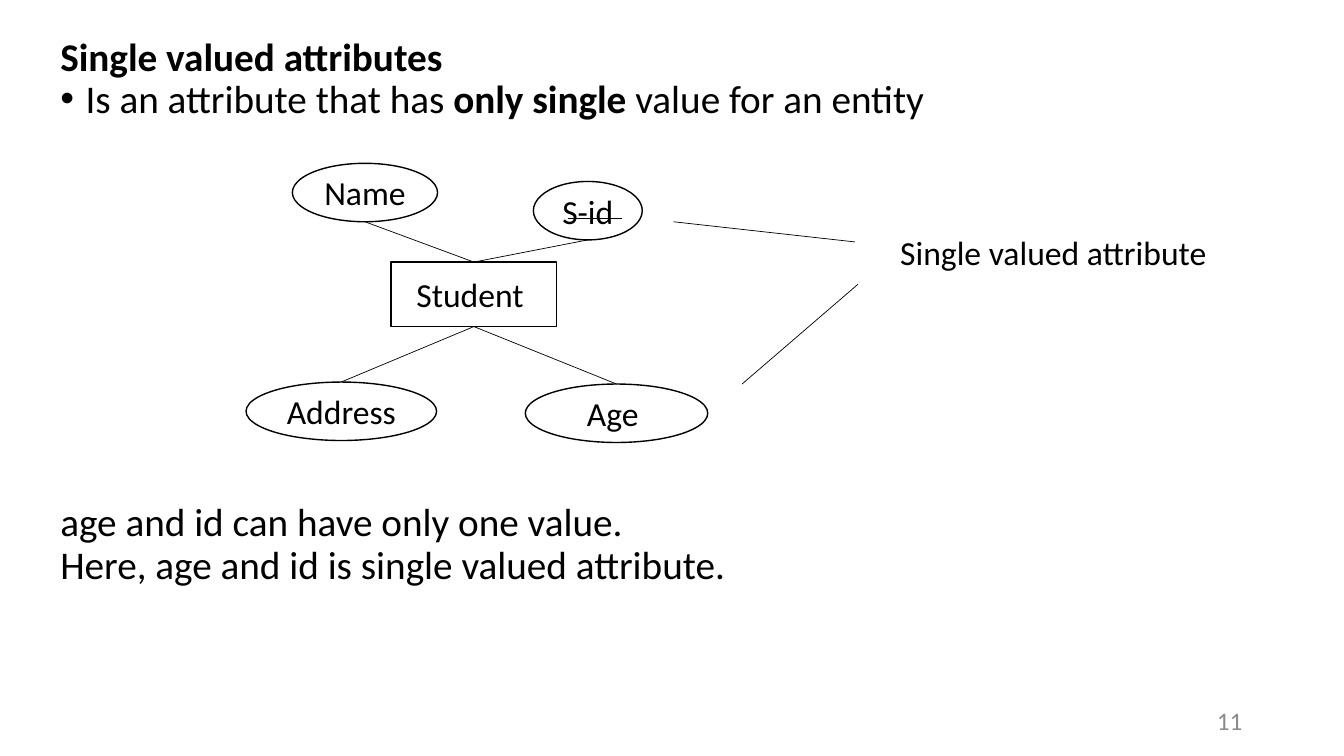
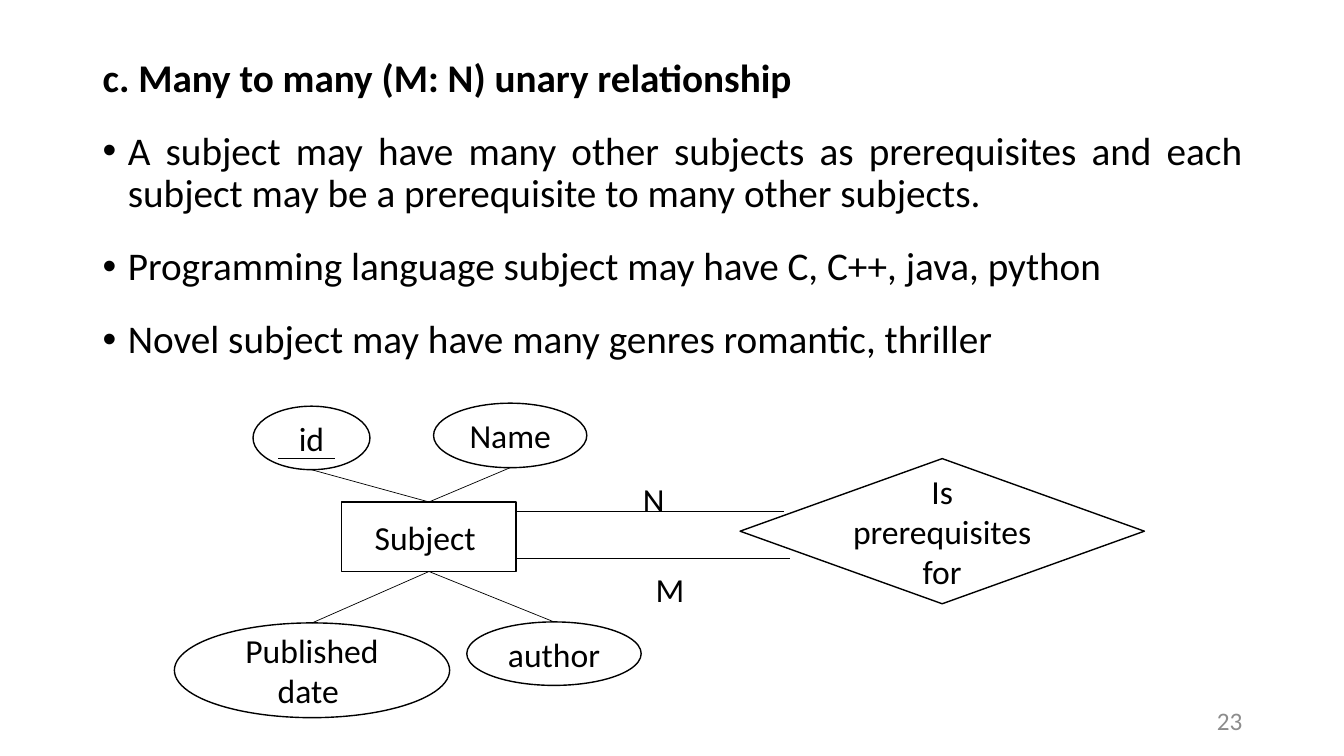
from dataclasses import dataclass

from lxml import etree
from pptx import Presentation
from pptx import util as u
from pptx.dml import color
from pptx.enum import shapes, text
from pptx.oxml import ns

PX = 9144  # EMU in one px, 100 px to the inch


@dataclass(frozen=True)
class Theme:
    font: str = "Calibri"
    ink: str = "000000"
    paper: str = "FFFFFF"
    muted: str = "8C8C8C"
    body_size: int = 28
    label_size: int = 24
    number_size: int = 18
    outline: float = 1
    hairline: float = 0.5
    line_spacing: float = 0.9
    bullet_indent: int = 25


@dataclass(frozen=True)
class Box:
    x: int
    y: int
    w: int
    h: int

    def inside(self, x, y, w, h):
        return Box(self.x + x, self.y + y, w, h)

    def emu(self):
        return [u.Emu(side * PX) for side in (self.x, self.y, self.w, self.h)]


THEME = Theme()
ALIGN = text.PP_ALIGN
ELLIPSE = shapes.MSO_SHAPE.OVAL
RECTANGLE = shapes.MSO_SHAPE.RECTANGLE
DECISION = shapes.MSO_SHAPE.FLOWCHART_DECISION
NUMBER_BOX = Box(942, 695, 300, 40)


def rgb(value):
    return color.RGBColor.from_string(value)


# Text
def add_span(para, words, size, ink=THEME.ink, bold=False):
    span = para.add_run()
    span.text = words
    font = span.font
    font.name, font.size, font.bold = THEME.font, u.Pt(size), bold
    font.color.rgb = rgb(ink)


def add_bullet(para):
    indent = THEME.bullet_indent * PX
    props = para._p.get_or_add_pPr()
    props.set("marL", str(indent))
    props.set("indent", str(-indent))
    etree.SubElement(props, ns.qn("a:buFont")).set("typeface", "Arial")
    etree.SubElement(props, ns.qn("a:buChar")).set("char", "•")


def add_label(page, box, words, size=THEME.label_size, ink=THEME.ink,
              align=ALIGN.LEFT, anchor=text.MSO_ANCHOR.TOP):
    frame = page.shapes.add_textbox(*box.emu()).text_frame
    frame.word_wrap = True
    frame.vertical_anchor = anchor
    para = frame.paragraphs[0]
    para.alignment = align
    add_span(para, words, size, ink)


def add_body(page, box, lines, align=ALIGN.LEFT, before=0, after=0):
    """Each line is (bulleted, [(words, bold), ...])."""
    frame = page.shapes.add_textbox(*box.emu()).text_frame
    frame.word_wrap = True
    for index, (bulleted, spans) in enumerate(lines):
        para = frame.add_paragraph() if index else frame.paragraphs[0]
        para.alignment = align
        para.line_spacing = THEME.line_spacing
        para.space_before = u.Pt(before if index else 0)
        para.space_after = u.Pt(after)
        if bulleted:
            add_bullet(para)
        for words, bold in spans:
            add_span(para, words, THEME.body_size, bold=bold)


# Diagram parts
def add_node(page, box, kind, words):
    node = page.shapes.add_shape(kind, *box.emu())
    node.shadow.inherit = False
    node.fill.solid()
    node.fill.fore_color.rgb = rgb(THEME.paper)
    node.line.color.rgb = rgb(THEME.ink)
    node.line.width = u.Pt(THEME.outline)
    frame = node.text_frame
    frame.word_wrap = True
    frame.vertical_anchor = text.MSO_ANCHOR.MIDDLE
    para = frame.paragraphs[0]
    para.alignment = ALIGN.CENTER
    add_span(para, words, THEME.label_size)
    return node


def add_line(page, x1, y1, x2, y2):
    """Draw a hairline between two points in EMU."""
    line = page.shapes.add_connector(
        shapes.MSO_CONNECTOR.STRAIGHT, *(u.Emu(n) for n in (x1, y1, x2, y2)))
    line.line.color.rgb = rgb(THEME.ink)
    line.line.width = u.Pt(THEME.hairline)
    etree.SubElement(line._element.spPr, ns.qn("a:effectLst"))
    return line


def join_attribute(page, attribute, entity):
    """Run a line from an attribute to the nearer side of its entity."""
    above = attribute.top < entity.top
    x = attribute.left + attribute.width // 2
    y = attribute.top + (attribute.height if above else 0)
    add_line(page, x, y, x, y).end_connect(entity, 0 if above else 2)


def add_diagram(page, box, entity, attributes, lines, labels, relation=None):
    """Draw an entity with its attributes; places are relative to box."""
    if relation:
        add_node(page, box.inside(*relation[1]), DECISION, relation[0])
    center = add_node(page, box.inside(*entity[1]), RECTANGLE, entity[0])
    for words, place in attributes:
        oval = add_node(page, box.inside(*place), ELLIPSE, words)
        join_attribute(page, oval, center)
    for x1, y1, x2, y2 in lines:
        add_line(page, (box.x + x1) * PX, (box.y + y1) * PX,
                 (box.x + x2) * PX, (box.y + y2) * PX)
    for words, place, align in labels:
        add_label(page, box.inside(*place), words, align=align)


# Slides
def add_page(deck, number):
    page = deck.slides.add_slide(deck.slide_layouts[6])
    add_label(page, NUMBER_BOX, str(number), THEME.number_size, THEME.muted,
              ALIGN.RIGHT, text.MSO_ANCHOR.MIDDLE)
    return page


def single_valued_page(deck):
    page = add_page(deck, 11)
    add_body(page, Box(50, 32, 1230, 100), [
        (False, [("Single valued attributes", True)]),
        (True, [("Is an attribute that has ", False), ("only single", True),
                (" value for an entity", False)]),
    ])
    add_diagram(
        page, Box(240, 160, 980, 280),
        entity=("Student ", (148, 100, 164, 64)),
        attributes=[
            ("Name ", (50, 2, 144, 58)),
            ("S-id", (289, 20, 108, 58)),
            ("Address ", (4, 219, 189, 58)),
            ("Age ", (281, 221, 181, 58)),
        ],
        lines=[
            (323, 57, 377, 57),  # key underline
            (428, 60, 608, 80),
            (496, 221, 611, 122),
        ],
        labels=[("Single valued attribute", (643, 65, 337, 50), ALIGN.LEFT)],
    )
    add_body(page, Box(50, 494, 1230, 100), [
        (False, [("age and id can have only one value.", False)]),
        (False, [("Here, age and id is single valued attribute.", False)]),
    ])


def many_to_many_page(deck):
    page = add_page(deck, 23)
    add_body(page, Box(92, 53, 1150, 330), [
        (False, [("c. Many to many (M: N) unary relationship", True)]),
        (True, [("A subject may have many other subjects as prerequisites and "
                 "each subject may be a prerequisite to many other subjects.",
                 False)]),
        (True, [("Programming language subject may have C, C++, java, python",
                 False)]),
        (True, [("Novel subject may have many genres romantic, thriller",
                 False)]),
    ], ALIGN.JUSTIFY, before=10, after=12)
    add_diagram(
        page, Box(170, 400, 965, 312),
        entity=("Subject ", (169, 98, 173, 69)),
        attributes=[
            ("id", (81, 3, 116, 63)),
            ("Name ", (260, 0, 152, 64)),
            ("Published date ", (3, 218, 273, 94)),
            ("author", (293, 217, 173, 63)),
        ],
        lines=[
            (106, 55, 162, 55),  # key underline
            (342, 107, 608, 107),
            (342, 154, 614, 154),
        ],
        labels=[
            ("N", (442, 70, 73, 50), ALIGN.CENTER),
            ("M", (458, 159, 73, 50), ALIGN.CENTER),
        ],
        relation=("Is prerequisites for", (564, 55, 401, 144)),
    )


def main():
    deck = Presentation()
    deck.slide_width, deck.slide_height = u.Emu(1333 * PX), u.Emu(750 * PX)
    single_valued_page(deck)
    many_to_many_page(deck)
    deck.save("out.pptx")


if __name__ == "__main__":
    main()
